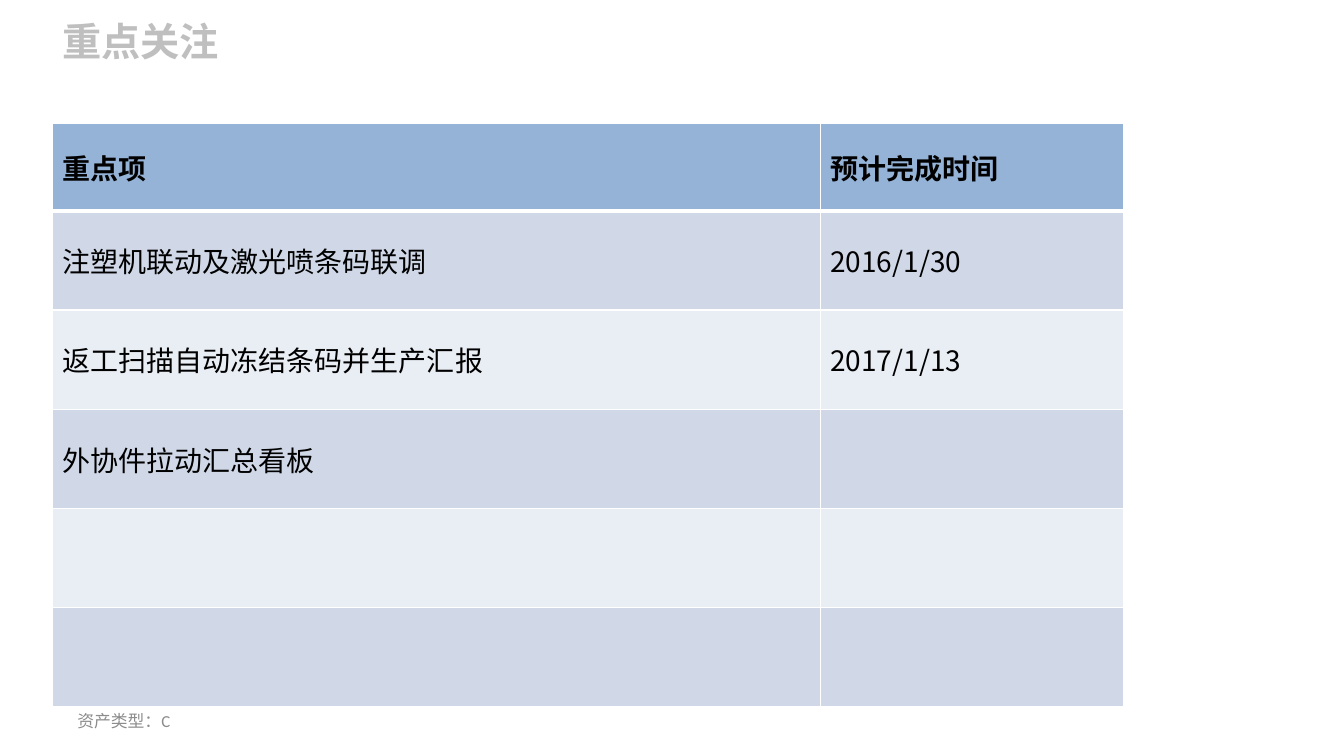
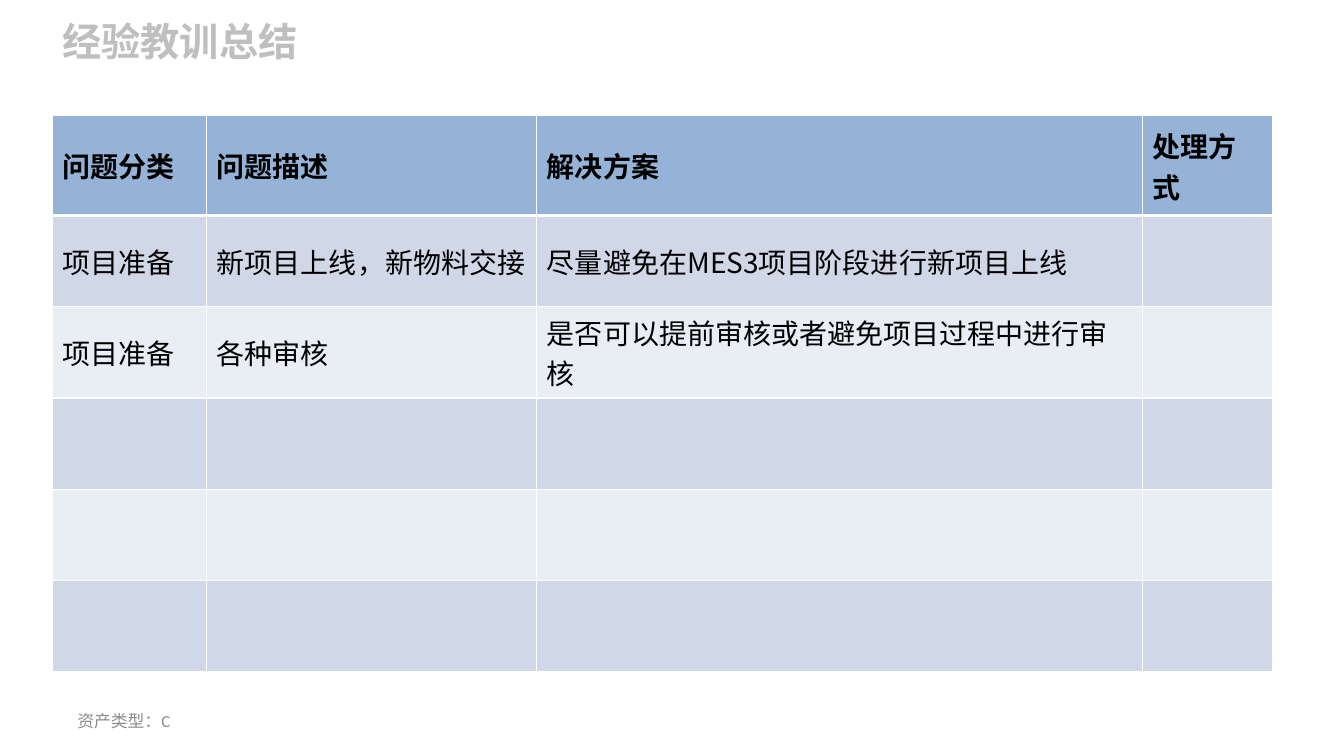
from lxml import etree
from pptx import Presentation
from pptx.dml.color import RGBColor
from pptx.enum.text import MSO_ANCHOR, MSO_AUTO_SIZE, PP_ALIGN
from pptx.oxml.ns import qn
from pptx.util import Cm, Pt

TOP, MIDDLE = MSO_ANCHOR.TOP, MSO_ANCHOR.MIDDLE
NO_FIT = MSO_AUTO_SIZE.NONE
LEFT = PP_ALIGN.LEFT

WHITE = RGBColor(0xFF, 0xFF, 0xFF)
BLACK = RGBColor(0x00, 0x00, 0x00)
TITLE_GREY = RGBColor(0xBF, 0xBF, 0xBF)
FOOTER_GREY = RGBColor(0x8C, 0x8C, 0x8C)
HEADER_BLUE = RGBColor(0x95, 0xB3, 0xD7)
BAND_FILLS = (RGBColor(0xD0, 0xD8, 0xE8), RGBColor(0xE9, 0xED, 0xF4))

TITLE_FONT = {"name": "Calibri", "size": Pt(28), "bold": True}
FOOTER_FONT = {"name": "Calibri", "size": Pt(12), "bold": False}
HEADER_FONT = {"name": "Noto Sans CJK SC", "size": Pt(20), "bold": True}
BODY_FONT = {**HEADER_FONT, "bold": False}

TITLE_BOX = (Cm(1.32), Cm(0.3), Cm(25.35), Cm(1.45))
FOOTER_BOX = (Cm(1.7), Cm(17.65), Cm(7.9), Cm(1.02))
FOOTER_TEXT = "资产类型：C"
TITLE_ONLY = 5
TABLE_ROWS = 6
THIN, THICK = Pt(1), Pt(3)

PAGES = [
    {
        "title": "重点关注",
        "corner": (Cm(1.32), Cm(3.1)),
        "widths": (Cm(19.35), Cm(7.65)),
        "header_height": Cm(2.21),
        "row_height": Cm(2.5),
        "rows": [
            ("重点项", "预计完成时间"),
            ("注塑机联动及激光喷条码联调", "2016/1/30"),
            ("返工扫描自动冻结条码并生产汇报", "2017/1/13"),
            ("外协件拉动汇总看板", ""),
        ],
    },
    {
        "title": "经验教训总结",
        "corner": (Cm(1.32), Cm(2.92)),
        "widths": (Cm(3.89), Cm(8.32), Cm(15.27), Cm(3.28)),
        "header_height": Cm(2.51),
        "row_height": Cm(2.3),
        "rows": [
            ("问题分类", "问题描述", "解决方案", "处理方式"),
            ("项目准备", "新项目上线，新物料交接", "尽量避免在MES3项目阶段进行新项目上线", ""),
            ("项目准备", "各种审核", "是否可以提前审核或者避免项目过程中进行审核", ""),
        ],
    },
]


def write_text(frame, text, font_values, color):
    para = frame.paragraphs[0]
    para.alignment = LEFT
    span = para.add_run()
    span.text = text
    for name, value in font_values.items():
        setattr(span.font, name, value)
    span.font.color.rgb = color


def place(shape, box):
    for name, value in zip(("left", "top", "width", "height"), box):
        setattr(shape, name, value)


def add_title(page, box, text):
    title = page.shapes.title
    place(title, box)
    frame = title.text_frame
    for name, value in {"word_wrap": True, "auto_size": NO_FIT, "vertical_anchor": TOP}.items():
        setattr(frame, name, value)
    write_text(frame, text, TITLE_FONT, TITLE_GREY)


def add_footer(page, box):
    frame = page.shapes.add_textbox(*box).text_frame
    frame.word_wrap = True
    frame.vertical_anchor = MIDDLE
    write_text(frame, FOOTER_TEXT, FOOTER_FONT, FOOTER_GREY)


def set_borders(cell, top, bottom):
    properties = cell._tc.get_or_add_tcPr()
    sides = {"lnL": THIN, "lnR": THIN, "lnT": top, "lnB": bottom}
    for position, (side, width) in enumerate(sides.items()):
        line = etree.Element(qn(f"a:{side}"), w=str(int(width)))
        fill = etree.SubElement(line, qn("a:solidFill"))
        etree.SubElement(fill, qn("a:srgbClr"), val=str(WHITE))
        properties.insert(position, line)


def add_grid(page, corner, widths, header_height, row_height, rows):
    heights = [header_height] + [row_height] * (TABLE_ROWS - 1)
    frame = page.shapes.add_table(TABLE_ROWS, len(widths), *corner, sum(widths), sum(heights))
    table = frame.table
    table.first_row = table.horz_banding = False
    for column, width in zip(table.columns, widths):
        column.width = width
    for index, height in enumerate(heights):
        table.rows[index].height = height
        is_header = index == 0
        texts = rows[index] if index < len(rows) else [""] * len(widths)
        for cell, text in zip(table.rows[index].cells, texts):
            cell.vertical_anchor = MIDDLE
            cell.fill.solid()
            cell.fill.fore_color.rgb = HEADER_BLUE if is_header else BAND_FILLS[(index - 1) % 2]
            set_borders(cell, THICK if index == 1 else THIN, THICK if is_header else THIN)
            if text:
                write_text(cell.text_frame, text, HEADER_FONT if is_header else BODY_FONT, BLACK)


def add_table_page(deck, title, **grid):
    page = deck.slides.add_slide(deck.slide_layouts[TITLE_ONLY])
    add_title(page, TITLE_BOX, title)
    add_footer(page, FOOTER_BOX)
    add_grid(page, **grid)


def main():
    deck = Presentation()
    deck.slide_width, deck.slide_height = Cm(33.87), Cm(19.05)
    for content in PAGES:
        add_table_page(deck, **content)
    deck.save("out.pptx")


if __name__ == "__main__":
    main()
